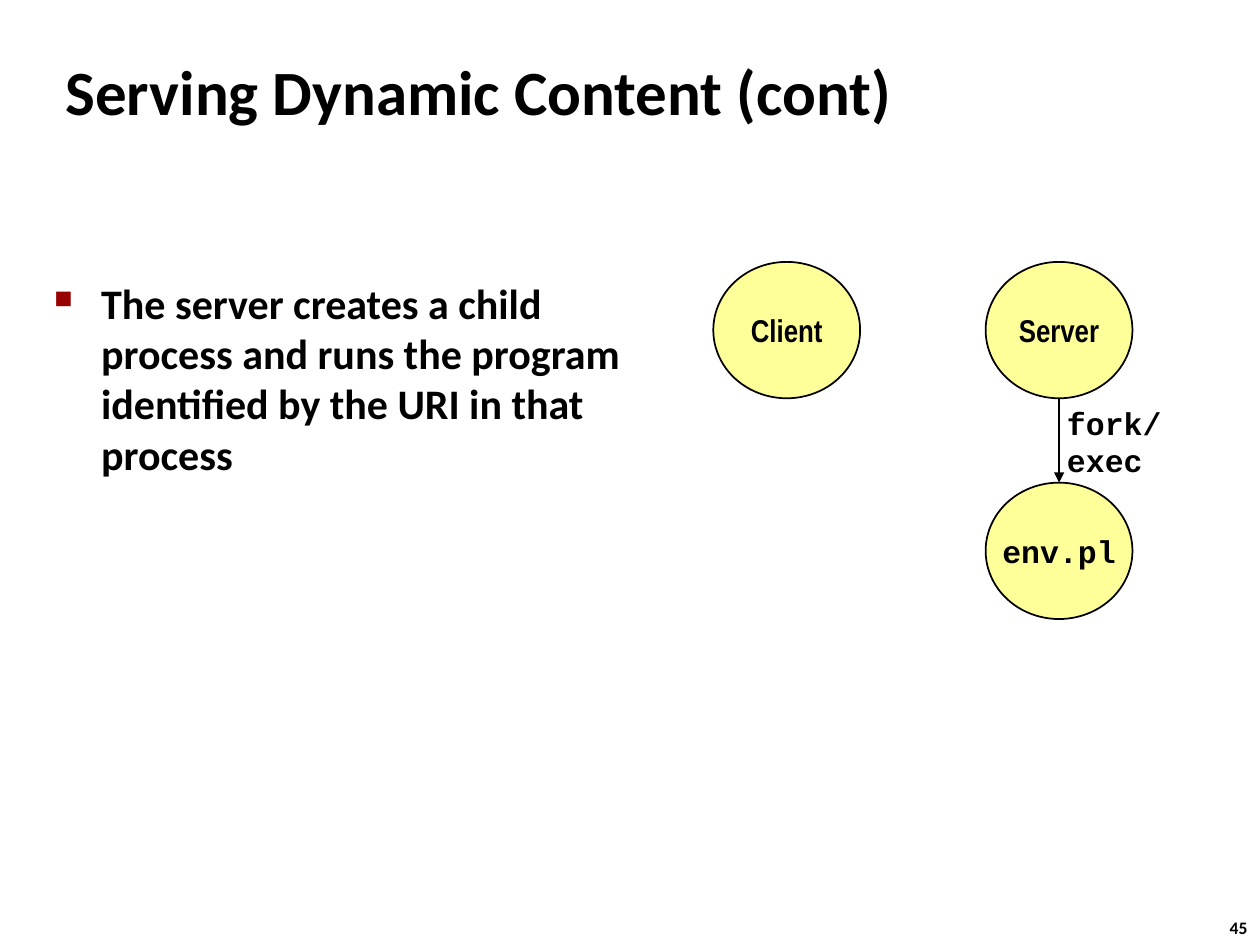
from lxml import etree
from pptx import Presentation, util as u
from pptx.dml.color import RGBColor
from pptx.enum import shapes, text
from pptx.oxml.ns import qn

COLORS = {"ink": "000000", "node": "FFFF99", "bullet": "990000"}


class Deck:
    """Slide style and one method per kind of element; lengths in cm."""

    def __init__(self):
        self.prs = Presentation()
        self.prs.slide_width, self.prs.slide_height = u.Cm(25.4), u.Cm(19.05)
        self.s = self.prs.slides.add_slide(self.prs.slide_layouts[6])

    def color(self, name):
        return RGBColor.from_string(COLORS[name])

    def add_text(self, sp, lines, size, font, wrap=False,
                 anchor=text.MSO_ANCHOR.TOP, align=text.PP_ALIGN.LEFT):
        tf = sp.text_frame
        tf.word_wrap = wrap
        tf.vertical_anchor = anchor
        p = tf.paragraphs[0]
        p.alignment = align
        for i, line in enumerate(lines.split("\n")):
            if i:
                p.add_line_break()
            r = p.add_run()
            r.text = line
            r.font.name, r.font.size, r.font.bold = font, u.Pt(size), True
            r.font.color.rgb = self.color("ink")
        return p

    def textbox(self, x, y, w, h, lines, size, font="Calibri", **style):
        sp = self.s.shapes.add_textbox(u.Cm(x), u.Cm(y), u.Cm(w), u.Cm(h))
        return self.add_text(sp, lines, size, font, **style)

    def bullet(self, x, y, w, h, lines, size):
        p = self.textbox(x, y, w, h, lines, size, wrap=True)
        pPr = p._p.get_or_add_pPr()
        indent = u.Cm(0.95)
        pPr.set("marL", str(indent))
        pPr.set("indent", str(-indent))
        clr = etree.SubElement(pPr, qn("a:buClr"))
        etree.SubElement(clr, qn("a:srgbClr"), val=COLORS["bullet"])
        etree.SubElement(pPr, qn("a:buSzPct"), val="60000")
        etree.SubElement(pPr, qn("a:buChar"), char="■")

    def node(self, x, y, w, h, label, font):
        sp = self.s.shapes.add_shape(shapes.MSO_SHAPE.OVAL,
                                     u.Cm(x), u.Cm(y), u.Cm(w), u.Cm(h))
        sp.shadow.inherit = False
        sp.fill.solid()
        sp.fill.fore_color.rgb = self.color("node")
        sp.line.color.rgb = self.color("ink")
        sp.line.width = u.Pt(1)
        self.add_text(sp, label, 18, font, anchor=text.MSO_ANCHOR.MIDDLE,
                      align=text.PP_ALIGN.CENTER)

    def arrow(self, x1, y1, x2, y2):
        c = self.s.shapes.add_connector(shapes.MSO_CONNECTOR.STRAIGHT,
                                        u.Cm(x1), u.Cm(y1), u.Cm(x2), u.Cm(y2))
        c.line.color.rgb = self.color("ink")
        c.line.width = u.Pt(1)
        spPr = c._element.spPr
        etree.SubElement(spPr.find(qn("a:ln")), qn("a:tailEnd"),
                         type="triangle")
        etree.SubElement(spPr, qn("a:effectLst"))


def main():
    d = Deck()

    # Slide number and title
    d.textbox(24.54, 18.36, 0.94, 0.69, "45", 10)
    d.textbox(1.07, 0.94, 21.59, 1.6, "Serving Dynamic Content (cont)", 36,
              wrap=True)

    # Explanation
    d.bullet(0.84, 5.46, 11.91, 5.26,
             "The server creates a child process and runs the program "
             "identified by the URI in that process", 24)

    # Processes
    node_w, node_h = 2.96, 2.75
    top, child_top, server_x = 5.28, 9.73, 19.87
    for x, y, label, font in ((14.38, top, "Client", "Arial Narrow"),
                              (server_x, top, "Server", "Arial Narrow"),
                              (server_x, child_top, "env.pl", "Courier New")):
        d.node(x, y, node_w, node_h, label, font)

    # Server starts the child
    d.arrow(server_x + node_w / 2, top + node_h,
            server_x + node_w / 2, child_top)
    d.textbox(21.26, 8.1, 2.6, 1.6, "fork/\nexec", 18, "Courier New",
              anchor=text.MSO_ANCHOR.MIDDLE)

    d.prs.save("out.pptx")


if __name__ == "__main__":
    main()
